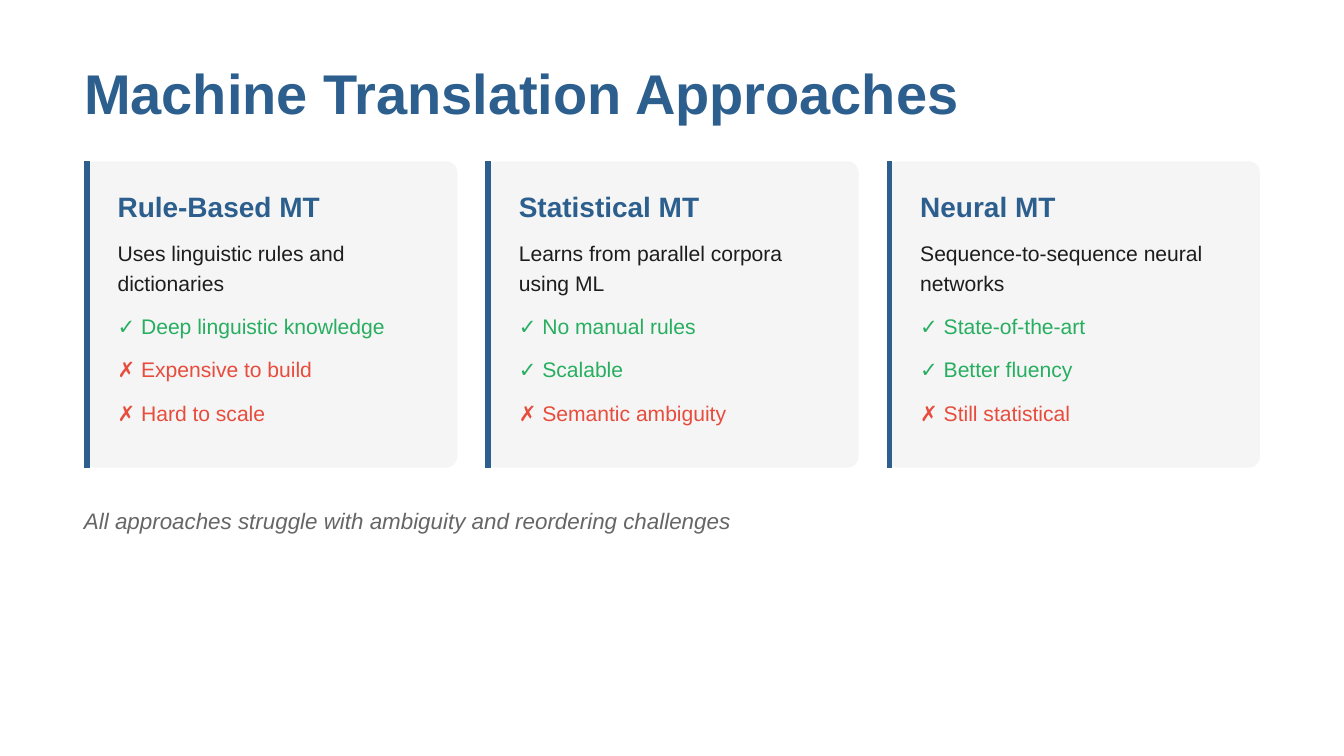
from lxml import etree
from pptx import Presentation
from pptx.dml.color import RGBColor
from pptx.enum.shapes import MSO_CONNECTOR, MSO_SHAPE
from pptx.oxml.ns import qn
from pptx.util import Inches, Pt

ROUNDED = MSO_SHAPE.ROUNDED_RECTANGLE
STRAIGHT = MSO_CONNECTOR.STRAIGHT

BLUE = RGBColor(0x2C, 0x5F, 0x8D)
PANEL = RGBColor(0xF5, 0xF5, 0xF5)
INK = RGBColor(0x1D, 0x1D, 0x1D)
GREEN = RGBColor(0x27, 0xAE, 0x60)
RED = RGBColor(0xE7, 0x4C, 0x3C)
GREY = RGBColor(0x66, 0x66, 0x66)
MARK_COLORS = {"✓": GREEN, "✗": RED}

# Grid: a 16:9 slide with three equal columns between the margins (inches)
SLIDE_W = 10
SLIDE_H = SLIDE_W * 9 / 16
MARGIN, GAP = SLIDE_W / 16, SLIDE_W / 48
CARD_W = (SLIDE_W - 2 * MARGIN - 2 * GAP) / 3
CARD_TOP, CARD_H = 1.2, 2.28
INDENT, TEXT_W = 0.25, 2.36

# Body rhythm: the points follow a two-line summary
BODY_SIZE, LEADING, AFTER = 11.25, 15.75, 7.5
SUMMARY_TOP = 1.76
POINTS_TOP = SUMMARY_TOP + (2 * LEADING + AFTER) / 72
POINT_STEP = (LEADING + AFTER) / 72

APPROACHES = [
    ("Rule-Based MT", "Uses linguistic rules and dictionaries",
     ["✓ Deep linguistic knowledge", "✗ Expensive to build", "✗ Hard to scale"]),
    ("Statistical MT", "Learns from parallel corpora using ML",
     ["✓ No manual rules", "✓ Scalable", "✗ Semantic ambiguity"]),
    ("Neural MT", "Sequence-to-sequence neural networks",
     ["✓ State-of-the-art", "✓ Better fluency", "✗ Still statistical"]),
]

prs = Presentation()
prs.slide_width, prs.slide_height = Inches(SLIDE_W), Inches(SLIDE_H)
slide = prs.slides.add_slide(prs.slide_layouts[6])
shapes = slide.shapes


def add_text(text, left, top, width, height, size, color, leading, after,
             bold=False, italic=False):
    box = shapes.add_textbox(Inches(left), Inches(top), Inches(width), Inches(height))
    frame = box.text_frame
    frame.word_wrap = True
    frame.margin_left = frame.margin_right = frame.margin_top = frame.margin_bottom = 0
    paragraph = frame.paragraphs[0]
    paragraph.line_spacing, paragraph.space_after = Pt(leading), Pt(after)
    run = paragraph.add_run()
    run.text = text
    run.font.name, run.font.size = "Arial", Pt(size)
    run.font.bold, run.font.italic = bold, italic
    run.font.color.rgb = color


# Title
add_text("Machine Translation Approaches", MARGIN, 0.52, 6.65, 0.42,
         30, BLUE, 30, 18.75, bold=True)

# One card per approach
for column, (approach, summary, points) in enumerate(APPROACHES):
    left = MARGIN + column * (CARD_W + GAP)
    text_left = left + INDENT

    card = shapes.add_shape(ROUNDED, Inches(left), Inches(CARD_TOP),
                            Inches(CARD_W), Inches(CARD_H))
    card.adjustments[0] = 0.037
    card.shadow.inherit = False
    card.fill.solid()
    card.fill.fore_color.rgb = PANEL
    card.line.fill.background()

    # Accent bar along the card's left edge
    bar_x = Inches(left) + Pt(1.5)
    accent = shapes.add_connector(STRAIGHT, bar_x, Inches(CARD_TOP),
                                  bar_x, Inches(CARD_TOP + CARD_H))
    accent.line.color.rgb = BLUE
    accent.line.width = Pt(3)
    etree.SubElement(accent._element.spPr, qn("a:effectLst"))

    # Heading, summary, then strengths and weaknesses
    add_text(approach, text_left, 1.41, TEXT_W, 0.25, 15, BLUE, 18, AFTER, bold=True)
    add_text(summary, text_left, SUMMARY_TOP, TEXT_W, 0.44,
             BODY_SIZE, INK, LEADING, AFTER)
    for row, point in enumerate(points):
        add_text(point, text_left, POINTS_TOP + row * POINT_STEP, TEXT_W, 0.22,
                 BODY_SIZE, MARK_COLORS[point[0]], LEADING, AFTER)

# Closing remark
add_text("All approaches struggle with ambiguity and reordering challenges",
         MARGIN, 3.74, 8.93, 0.23, 12, GREY, 16.8, 3, italic=True)

prs.save("out.pptx")
